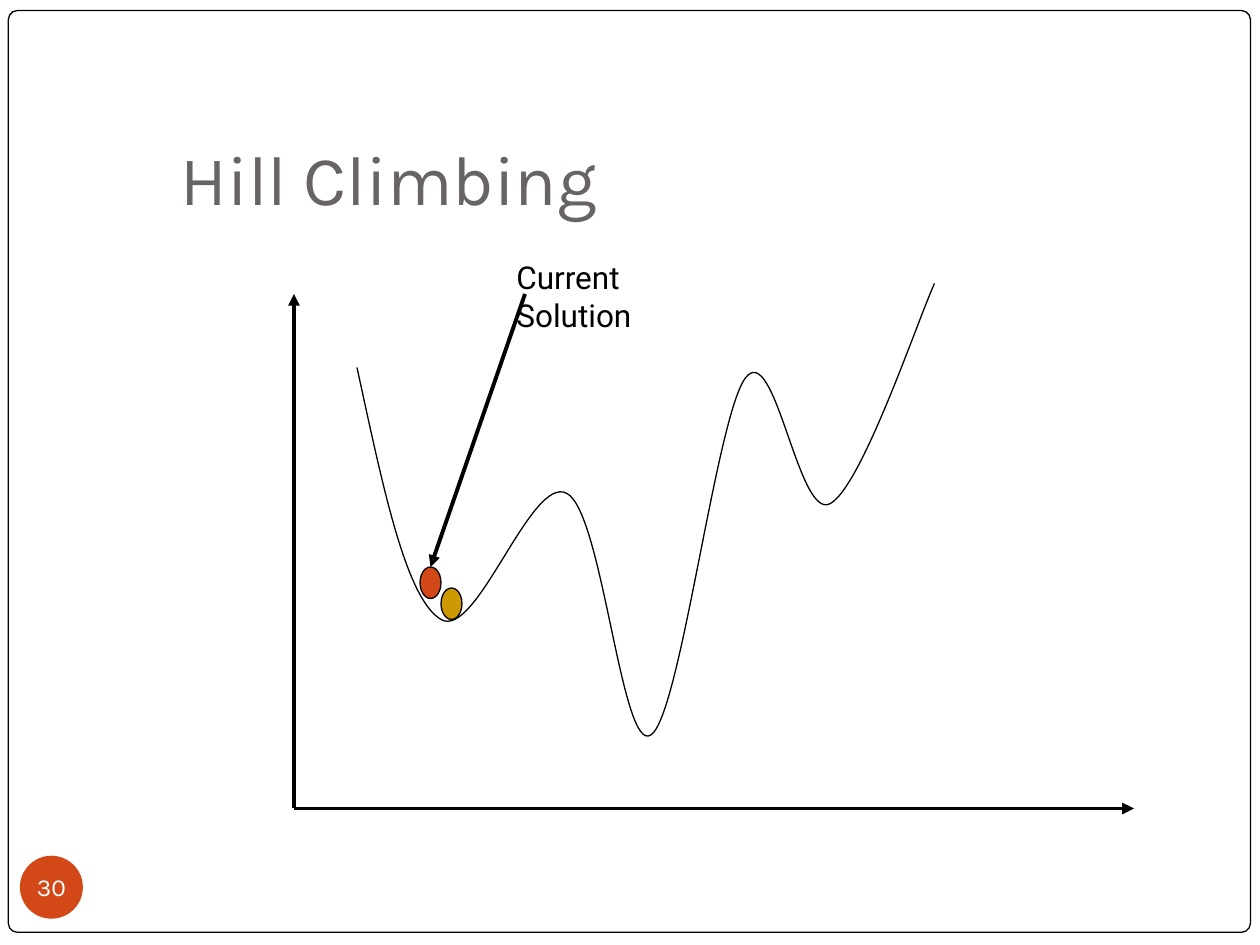
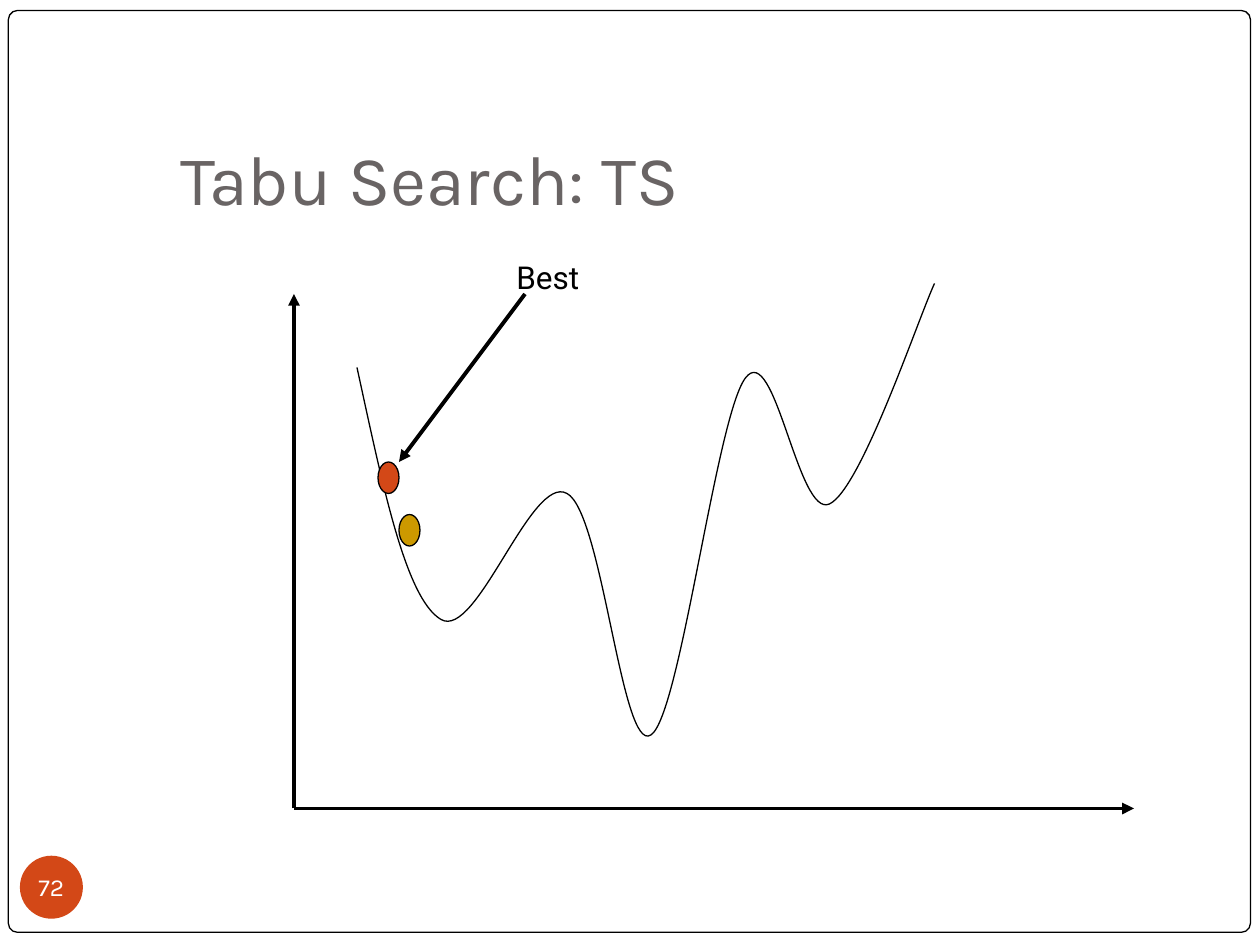
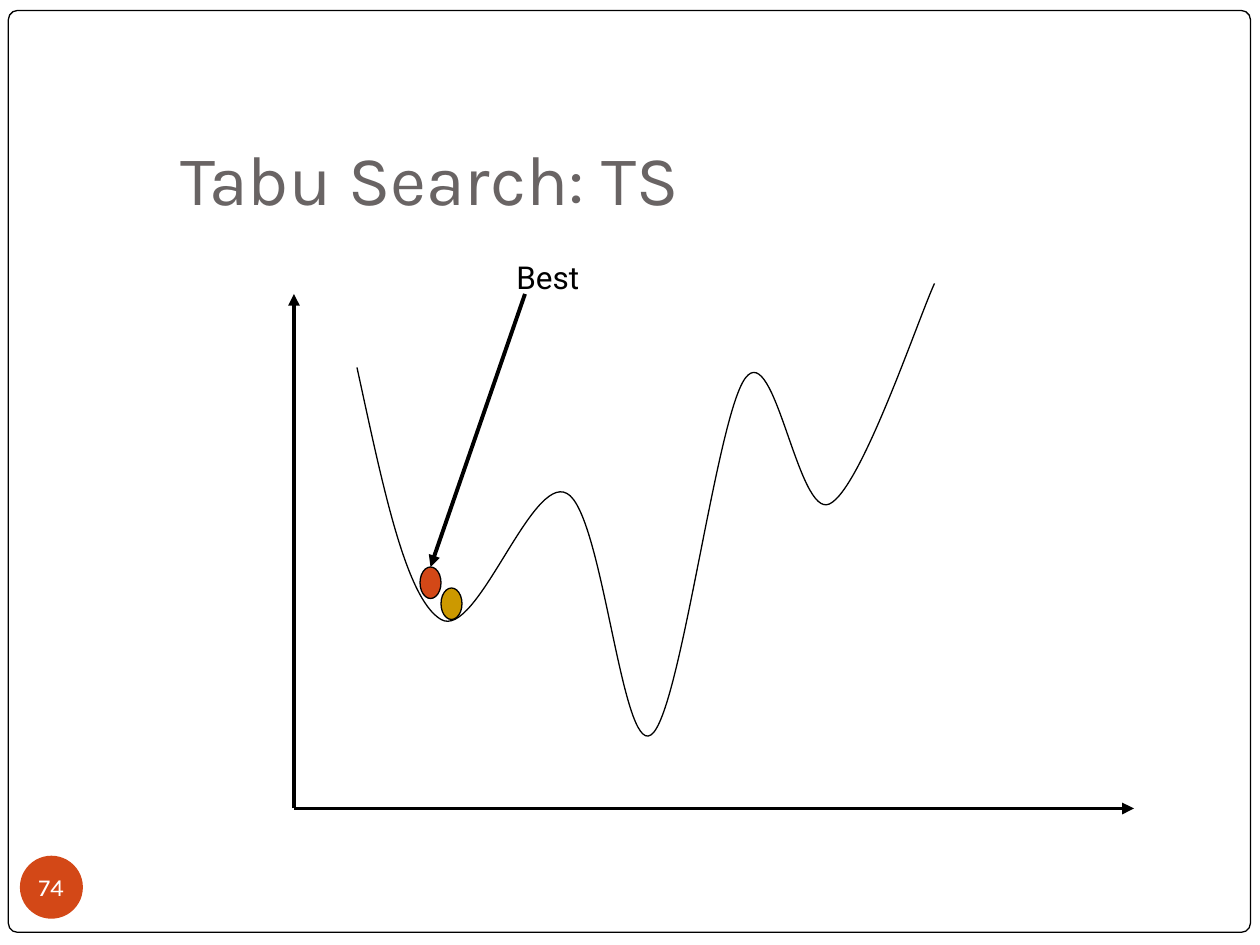
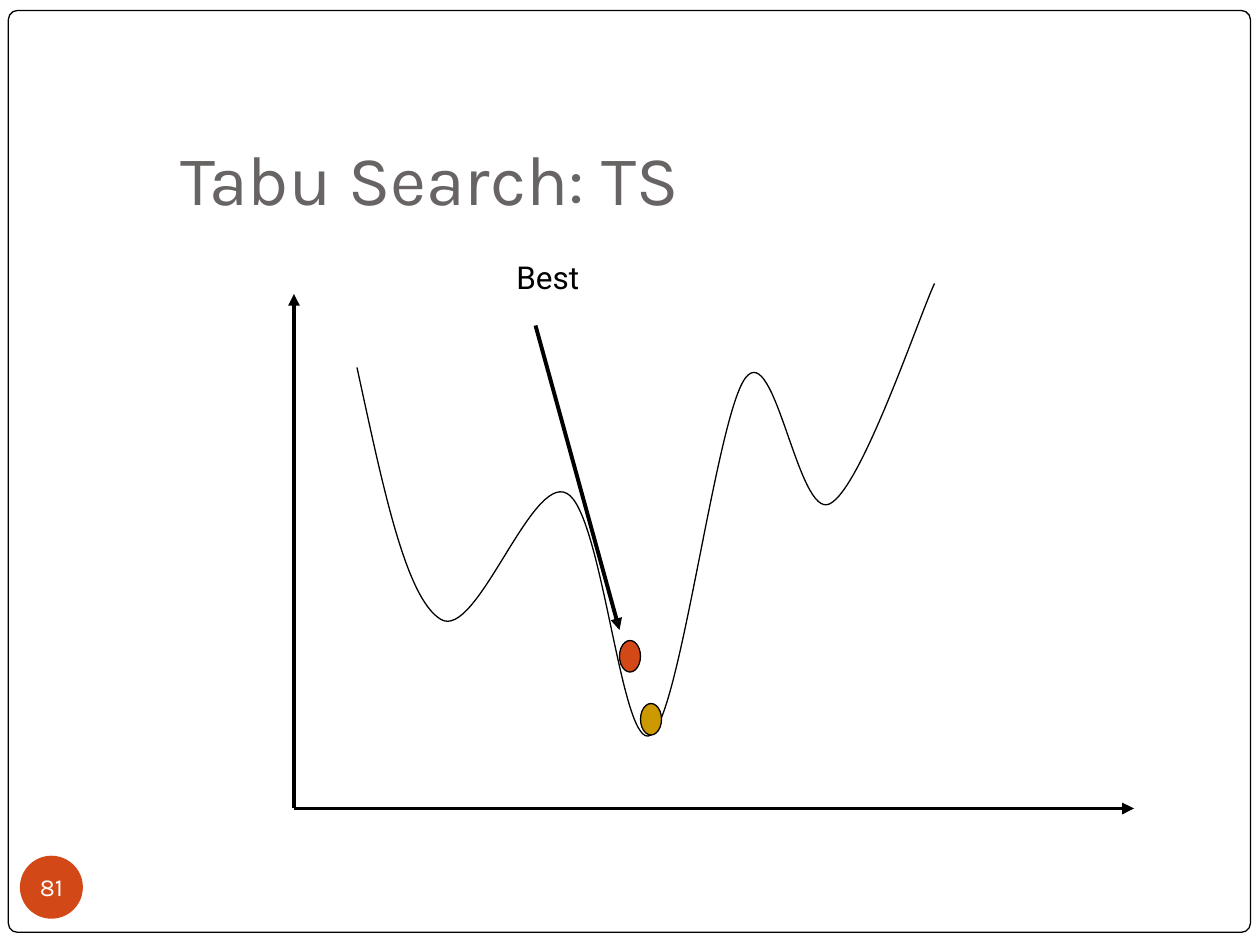
from dataclasses import dataclass
from typing import NamedTuple

from lxml import etree
from pptx import Presentation
from pptx.dml.color import RGBColor
from pptx.enum.shapes import MSO_CONNECTOR, MSO_SHAPE
from pptx.enum.text import MSO_ANCHOR, MSO_AUTO_SIZE, PP_ALIGN
from pptx.oxml.ns import qn
from pptx.util import Pt

PX = 7620  # 120 px to the inch
SLIDE_W, SLIDE_H = 1200, 900
TITLE_ONLY = 5

STRAIGHT = MSO_CONNECTOR.STRAIGHT
OVAL, ROUNDED = MSO_SHAPE.OVAL, MSO_SHAPE.ROUNDED_RECTANGLE
TOP, MIDDLE, BOTTOM = MSO_ANCHOR.TOP, MSO_ANCHOR.MIDDLE, MSO_ANCHOR.BOTTOM
LEFT, CENTER = PP_ALIGN.LEFT, PP_ALIGN.CENTER
NO_FIT, GROW = MSO_AUTO_SIZE.NONE, MSO_AUTO_SIZE.SHAPE_TO_FIT_TEXT


class Point(NamedTuple):
    x: int
    y: int


class Box(NamedTuple):
    x: int
    y: int
    w: int
    h: int

    def emu(self) -> list[int]:
        return [length * PX for length in self]


class TextStyle(NamedTuple):
    font: str
    size: int
    color: str
    align: PP_ALIGN
    anchor: MSO_ANCHOR
    insets: tuple[int, int, int, int]


@dataclass(frozen=True)
class Theme:
    paper: str = "FFFFFF"
    ink: str = "000000"
    accent: str = "D34817"
    neighbour: str = "CC9900"
    thin: float = 0.75
    thick: float = 2.25
    title: TextStyle = TextStyle("Karla", 40, "696464", LEFT, BOTTOM, (12, 6, 12, 12))
    number: TextStyle = TextStyle("Karla", 14, "FFFFFF", CENTER, MIDDLE, (0, 0, 0, 0))
    label: TextStyle = TextStyle("Roboto", 18, "000000", LEFT, TOP, (12, 6, 12, 6))


@dataclass(frozen=True)
class SearchStep:
    title: str
    number: int
    label: str
    label_height: int
    arrow_start: Point
    arrow_end: Point
    current: Point
    neighbour: Point


THEME = Theme()
FRAME = Box(8, 10, 1183, 878)
TITLE = Box(160, 113, 1022, 108)
BADGE = Box(19, 815, 60, 60)
LABEL_AT, LABEL_W = Point(480, 240), 140
DOT_W, DOT_H = 20, 30
ORIGIN = Point(280, 770)
AXIS_ENDS = (Point(280, 280), Point(1080, 770))

# Start, then two control points and an end point for each stretch
LANDSCAPE = [
    Point(340, 350),
    Point(364, 460), Point(386, 570), Point(420, 590),
    Point(454, 610), Point(506, 451), Point(540, 470),
    Point(574, 488), Point(592, 719), Point(620, 700),
    Point(648, 682), Point(682, 397), Point(710, 360),
    Point(738, 323), Point(760, 494), Point(790, 480),
    Point(820, 466), Point(874, 305), Point(890, 270),
]

TABU = "Tabu Search: TS"
STEPS = [
    SearchStep("Hill Climbing", 30, "Current Solution", 84,
               Point(500, 280), Point(410, 540), Point(400, 540), Point(420, 560)),
    SearchStep(TABU, 72, "Best", 48,
               Point(500, 280), Point(380, 440), Point(360, 440), Point(380, 490)),
    SearchStep(TABU, 74, "Best", 48,
               Point(500, 280), Point(410, 540), Point(400, 540), Point(420, 560)),
    SearchStep(TABU, 81, "Best", 48,
               Point(510, 310), Point(590, 600), Point(590, 610), Point(610, 670)),
]


def rgb(color: str) -> RGBColor:
    return RGBColor.from_string(color)


def write(frame, text: str, style: TextStyle, fit: MSO_AUTO_SIZE = NO_FIT) -> None:
    frame.word_wrap = True
    frame.auto_size = fit
    frame.vertical_anchor = style.anchor
    (frame.margin_left, frame.margin_top,
     frame.margin_right, frame.margin_bottom) = [inset * PX for inset in style.insets]
    paragraph = frame.paragraphs[0]
    paragraph.alignment = style.align
    run = paragraph.add_run()
    run.text = text
    run.font.name = style.font
    run.font.size = Pt(style.size)
    run.font.color.rgb = rgb(style.color)


def stroke(line, width: float) -> None:
    line.color.rgb = rgb(THEME.ink)
    line.width = Pt(width)


def add_filled(slide, preset: MSO_SHAPE, box: Box, fill: str, outlined: bool = True):
    shape = slide.shapes.add_shape(preset, *box.emu())
    shape.shadow.inherit = False
    shape.fill.solid()
    shape.fill.fore_color.rgb = rgb(fill)
    if outlined:
        stroke(shape.line, THEME.thin)
    else:
        shape.line.fill.background()
    return shape


def add_dot(slide, at: Point, fill: str) -> None:
    add_filled(slide, OVAL, Box(at.x, at.y, DOT_W, DOT_H), fill)


def add_arrow(slide, start: Point, end: Point) -> None:
    arrow = slide.shapes.add_connector(
        STRAIGHT, start.x * PX, start.y * PX, end.x * PX, end.y * PX)
    stroke(arrow.line, THEME.thick)
    properties = arrow._element.spPr
    etree.SubElement(properties.find(qn("a:ln")), qn("a:tailEnd"), type="triangle")
    etree.SubElement(properties, qn("a:effectLst"))


def add_landscape(slide) -> None:
    """Draw the points as an open outline, then join each three into one curve."""
    builder = slide.shapes.build_freeform(*LANDSCAPE[0], scale=PX)
    builder.add_line_segments(LANDSCAPE[1:], close=False)
    curve = builder.convert_to_shape()
    curve.shadow.inherit = False
    curve.fill.background()
    stroke(curve.line, THEME.thin)
    segments = list(curve._element.iter(qn("a:lnTo")))
    outline = segments[0].getparent()
    for first in range(0, len(segments), 3):
        bezier = etree.SubElement(outline, qn("a:cubicBezTo"))
        for segment in segments[first:first + 3]:
            bezier.append(segment[0])
            outline.remove(segment)


def move_frame_to_layout(slide, layout) -> None:
    """Draw the page frame once, behind everything on the shared layout."""
    frame = add_filled(slide, ROUNDED, FRAME, THEME.paper)
    frame.adjustments[0] = 0.01
    element = frame._element
    element.nvSpPr.cNvPr.set("id", "20")
    layout.shapes._spTree.insert(2, element)


def add_step(slide, step: SearchStep) -> None:
    title = slide.shapes.title
    title.left, title.top, title.width, title.height = TITLE.emu()
    write(title.text_frame, step.title, THEME.title)

    badge = add_filled(slide, OVAL, BADGE, THEME.accent, outlined=False)
    write(badge.text_frame, str(step.number), THEME.number)

    for axis_end in AXIS_ENDS:
        add_arrow(slide, ORIGIN, axis_end)
    add_landscape(slide)

    add_dot(slide, step.neighbour, THEME.neighbour)
    label_box = Box(*LABEL_AT, LABEL_W, step.label_height)
    label = slide.shapes.add_textbox(*label_box.emu())
    write(label.text_frame, step.label, THEME.label, GROW)
    add_arrow(slide, step.arrow_start, step.arrow_end)
    add_dot(slide, step.current, THEME.accent)


def main() -> None:
    deck = Presentation()
    deck.slide_width, deck.slide_height = SLIDE_W * PX, SLIDE_H * PX
    layout = deck.slide_layouts[TITLE_ONLY]
    slides = [deck.slides.add_slide(layout) for _ in STEPS]
    move_frame_to_layout(slides[0], layout)
    for slide, step in zip(slides, STEPS):
        add_step(slide, step)
    deck.save("out.pptx")


if __name__ == "__main__":
    main()
